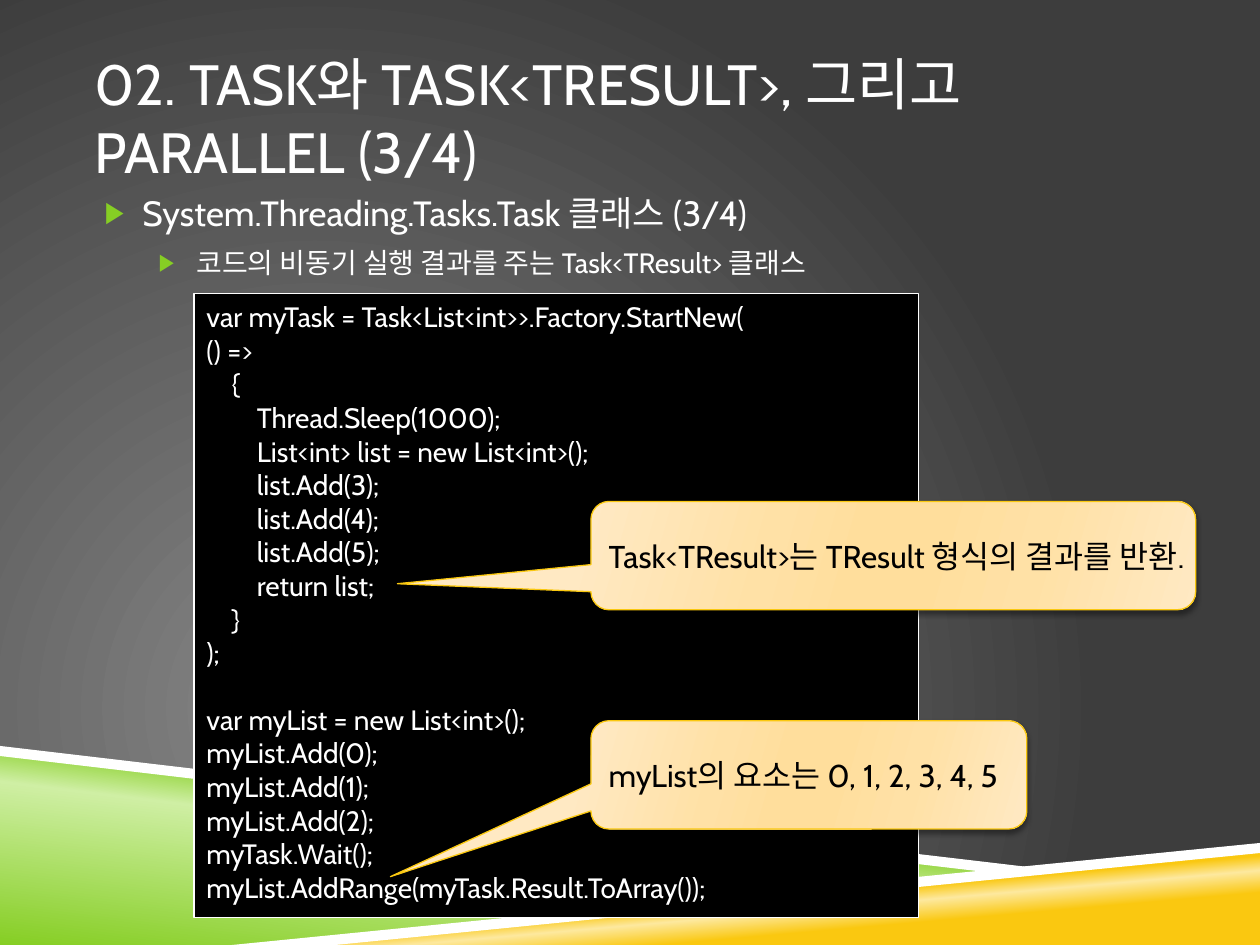
"""Build the slide on Task and Task<TResult> with code and two callouts."""
from pptx import Presentation
from pptx.dml.color import RGBColor
from pptx.enum.shapes import MSO_SHAPE
from pptx.enum.text import MSO_ANCHOR, MSO_AUTO_SIZE, PP_ALIGN
from pptx.oxml import parse_xml
from pptx.oxml.ns import nsdecls, qn
from pptx.util import Pt

PX = 9144
FONT = "Cabin"
WHITE, BLACK, GREEN, GOLD = "FFFFFF", "000000", "86CE24", "FAC810"


def hue(code):
    return RGBColor.from_string(code)


def blend(host, stops, way):
    marks = "".join(
        f'<a:gs pos="{pos * 1000}"><a:srgbClr val="{code}"/></a:gs>' for pos, code in stops)
    grad = parse_xml(
        f'<a:gradFill {nsdecls("a")} rotWithShape="1"><a:gsLst>{marks}</a:gsLst>{way}</a:gradFill>')
    host.replace(host.find(qn("a:solidFill")), grad)


deck = Presentation()
deck.slide_width, deck.slide_height = 1000 * PX, 750 * PX
slide = deck.slides.add_slide(deck.slide_layouts[1])
shapes = slide.shapes
title, body = slide.placeholders

slide.background.fill.solid()
blend(slide._element.find(".//" + qn("p:bgPr")), [(0, "878787"), (100, "3D3D3D")],
      '<a:path path="circle"><a:fillToRect l="50000" t="100000" r="100000" b="50000"/></a:path>')

bands = [
    ([(0, 597), (792, 692), (200, 750), (0, 750)],
     [(0, GREEN), (52, "CFEFA4"), (66, GREEN)], 277),
    ([(198, 750), (1000, 672), (1000, 750)],
     [(28, GOLD), (40, "FDE99F"), (48, GOLD)], 265),
    ([(0, 592), (0, 600), (790, 693), (832, 690)], None, 0),
    ([(1000, 669), (184, 750), (266, 750), (1000, 677)], None, 0),
]
for dots, stops, turn in bands:
    pen = shapes.build_freeform(*dots[0], scale=PX)
    pen.add_line_segments(dots[1:], close=True)
    band = pen.convert_to_shape()
    band.shadow.inherit = False
    band.line.fill.background()
    band.fill.solid()
    band.fill.fore_color.rgb = hue(WHITE)
    if stops:
        blend(band._element.spPr, stops, f'<a:lin ang="{turn * 60000}" scaled="0"/>')

for holder, top, tall, anchor in [(title, 30, 125, MSO_ANCHOR.MIDDLE),
                                  (body, 147, 444, MSO_ANCHOR.TOP)]:
    shapes._spTree.append(holder._element)
    holder.left, holder.top, holder.width, holder.height = 75 * PX, top * PX, 850 * PX, tall * PX
    frame = holder.text_frame
    frame.margin_left = frame.margin_right = 0
    frame.margin_top = frame.margin_bottom = 5 * PX
    frame.vertical_anchor = anchor
    frame.word_wrap = True
    frame.auto_size = MSO_AUTO_SIZE.NONE

title.text_frame.text = "02. TASK와 TASK<TRESULT>, 그리고 PARALLEL (3/4)"
head = title.text_frame.paragraphs[0]
head.alignment = PP_ALIGN.LEFT
head.font.size = Pt(32.4)

body.text_frame.text = ("System.Threading.Tasks.Task 클래스 (3/4)\n"
                        "코드의 비동기 실행 결과를 주는 Task<TResult> 클래스")
for level, (para, size, edge) in enumerate(zip(body.text_frame.paragraphs, (20, 16), (38, 81))):
    para.level = level
    para.space_before = Pt(7)
    para.font.size = Pt(size)
    props = para._p.get_or_add_pPr()
    props.set("marL", str(edge * PX))
    props.set("indent", str(-30 * PX))
    rest = props.find(qn("a:defRPr"))
    for mark in (f'<a:buClr {nsdecls("a")}><a:srgbClr val="{GREEN}"/></a:buClr>',
                 f'<a:buSzPct {nsdecls("a")} val="85000"/>',
                 f'<a:buFont {nsdecls("a")} typeface="Arial"/>',
                 f'<a:buChar {nsdecls("a")} char="▶"/>'):
        rest.addprevious(parse_xml(mark))

code = shapes.add_shape(MSO_SHAPE.RECTANGLE, 154 * PX, 233 * PX, 575 * PX, 495 * PX)
code.shadow.inherit = False
code.fill.solid()
code.fill.fore_color.rgb = hue(BLACK)
code.line.color.rgb = hue(WHITE)
code.line.width = Pt(0.75)
code.text_frame.vertical_anchor = MSO_ANCHOR.TOP
lines = [
    (0, "var myTask = Task<List<int>>.Factory.StartNew("),
    (0, "() =>"),
    (1, "{"),
    (2, "Thread.Sleep(1000);"),
    (2, "List<int> list = new List<int>();"),
    (2, "list.Add(3);"),
    (2, "list.Add(4);"),
    (2, "list.Add(5);"),
    (2, "return list;"),
    (1, "}"),
    (0, ");"),
    (0, "var myList = new List<int>();"),
    (0, "myList.Add(0);"),
    (0, "myList.Add(1);"),
    (0, "myList.Add(2);"),
    (0, "myTask.Wait();"),
    (0, "myList.AddRange(myTask.Result.ToArray());"),
]
code.text_frame.text = "\n".join(text for depth, text in lines)
for para, (depth, text) in zip(code.text_frame.paragraphs, lines):
    para.alignment = PP_ALIGN.LEFT
    para.font.size = Pt(16)
    para._p.get_or_add_pPr().set("marL", str(depth * 20 * PX))
    if text.startswith("var myList"):
        para.space_before = Pt(19)

notes = [
    (398, 480, (-0.82, 0.26), "Task<TResult>는 TResult 형식의 결과를 반환."),
    (572, 346, (-0.96, 0.94), "myList의 요소는 0, 1, 2, 3, 4, 5"),
]
cream = [(0, "FFE9C3"), (30, "FFE1A6"), (45, "FFDE9C"),
         (55, "FFDE9C"), (73, "FFE1A6"), (100, "FFE9C3")]
calls = []
for top, wide, tip, text in notes:
    call = shapes.add_shape(MSO_SHAPE.ROUNDED_RECTANGULAR_CALLOUT,
                            469 * PX, top * PX, wide * PX, 86 * PX)
    call.adjustments[0], call.adjustments[1] = tip
    call.fill.solid()
    blend(call._element.spPr, cream, f'<a:lin ang="{16 * 60000}" scaled="0"/>')
    call.line.color.rgb = hue(GOLD)
    call.line.width = Pt(0.75)
    call.shadow.inherit = False
    call._element.spPr.find(qn("a:effectLst")).append(parse_xml(
        f'<a:outerShdw {nsdecls("a")} blurRad="{Pt(3)}" dist="{Pt(2)}" dir="5400000" rotWithShape="0">'
        f'<a:srgbClr val="{BLACK}"><a:alpha val="40000"/></a:srgbClr></a:outerShdw>'))
    call.text_frame.text = text
    call.text_frame.vertical_anchor = MSO_ANCHOR.MIDDLE
    call.text_frame.paragraphs[0].alignment = PP_ALIGN.LEFT
    call.text_frame.paragraphs[0].font.size = Pt(18)
    calls.append(call)

for shape in [title, body, code, *calls]:
    for para in shape.text_frame.paragraphs:
        for run in para.runs:
            run.font.name = FONT
            run.font.size = para.font.size
            run.font.color.rgb = hue(BLACK if shape in calls else WHITE)

deck.save("out.pptx")
